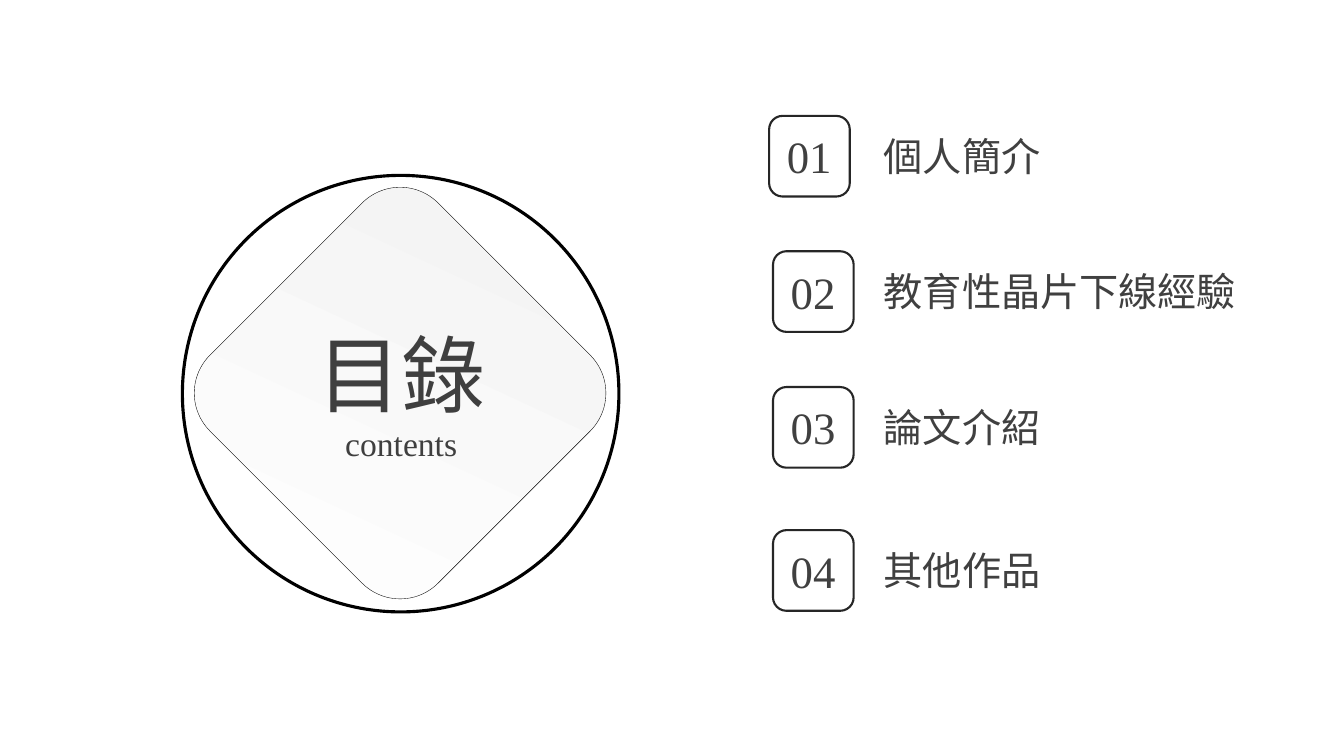
from dataclasses import dataclass

from pptx import Presentation
from pptx.dml.color import RGBColor
from pptx.enum.shapes import MSO_SHAPE
from pptx.enum.text import MSO_AUTO_SIZE, PP_ALIGN
from pptx.util import Pt


@dataclass(frozen=True)
class Theme:
    font: str = "Times New Roman"
    black: RGBColor = RGBColor(0x00, 0x00, 0x00)
    white: RGBColor = RGBColor(0xFF, 0xFF, 0xFF)
    mist: RGBColor = RGBColor(0xF2, 0xF2, 0xF2)
    frame: RGBColor = RGBColor(0x26, 0x26, 0x26)
    heading: RGBColor = RGBColor(0x3F, 0x3F, 0x3F)
    entry: RGBColor = RGBColor(0x40, 0x40, 0x40)
    title_size: int = 60
    subtitle_size: int = 24
    number_size: int = 32
    label_size: int = 28


theme = Theme()
presentation = Presentation()
presentation.slide_width, presentation.slide_height = Pt(960), Pt(540)
slide = presentation.slides.add_slide(presentation.slide_layouts[6])


def add_outline(kind, left, top, side, color, weight):
    outline = slide.shapes.add_shape(kind, Pt(left), Pt(top), Pt(side), Pt(side))
    outline.shadow.inherit = False
    outline.fill.background()
    outline.line.color.rgb = color
    outline.line.width = Pt(weight)
    return outline


def add_text(left, top, width, height, lines, color, align, wrap):
    box = slide.shapes.add_textbox(Pt(left), Pt(top), Pt(width), Pt(height))
    frame = box.text_frame
    frame.word_wrap = wrap
    frame.auto_size = MSO_AUTO_SIZE.SHAPE_TO_FIT_TEXT
    for index, (words, size) in enumerate(lines):
        paragraph = frame.add_paragraph() if index else frame.paragraphs[0]
        paragraph.alignment = align
        run = paragraph.add_run()
        run.text = words
        run.font.name = theme.font
        run.font.size = Pt(size)
        run.font.color.rgb = color


# Emblem: shaded diamond inside a ring
diamond = add_outline(MSO_SHAPE.ROUNDED_RECTANGLE, 170.6, 165.6, 230.4, theme.black, 0.25)
diamond.rotation = 45
diamond.fill.gradient()
diamond.fill.gradient_angle = 110
for stop, color in zip(diamond.fill.gradient_stops, (theme.white, theme.mist)):
    stop.color.rgb = color
add_outline(MSO_SHAPE.OVAL, 130.3, 125.3, 311.8, theme.black, 2.25)

# Heading
add_text(218.2, 226.8, 136.8, 108.7,
         [("目錄", theme.title_size), ("contents", theme.subtitle_size)],
         theme.heading, PP_ALIGN.CENTER, False)

# Numbered entries: left and top of each frame, label
entries = [
    (549.4, 82.8, "個人簡介"),
    (552.2, 179.5, "教育性晶片下線經驗"),
    (552.2, 276.5, "論文介紹"),
    (552.2, 378.7, "其他作品"),
]
for number, (left, top, label) in enumerate(entries, start=1):
    add_outline(MSO_SHAPE.ROUNDED_RECTANGLE, left, top, 57.6, theme.frame, 1.5)
    add_text(left + 5.2, top + 5.8, 46.8, 46.1, [(f"{number:02}", theme.number_size)],
             theme.entry, PP_ALIGN.CENTER, False)
    add_text(624.2, top + 8, 298.8, 41, [(label, theme.label_size)],
             theme.entry, PP_ALIGN.LEFT, True)

presentation.save("out.pptx")
